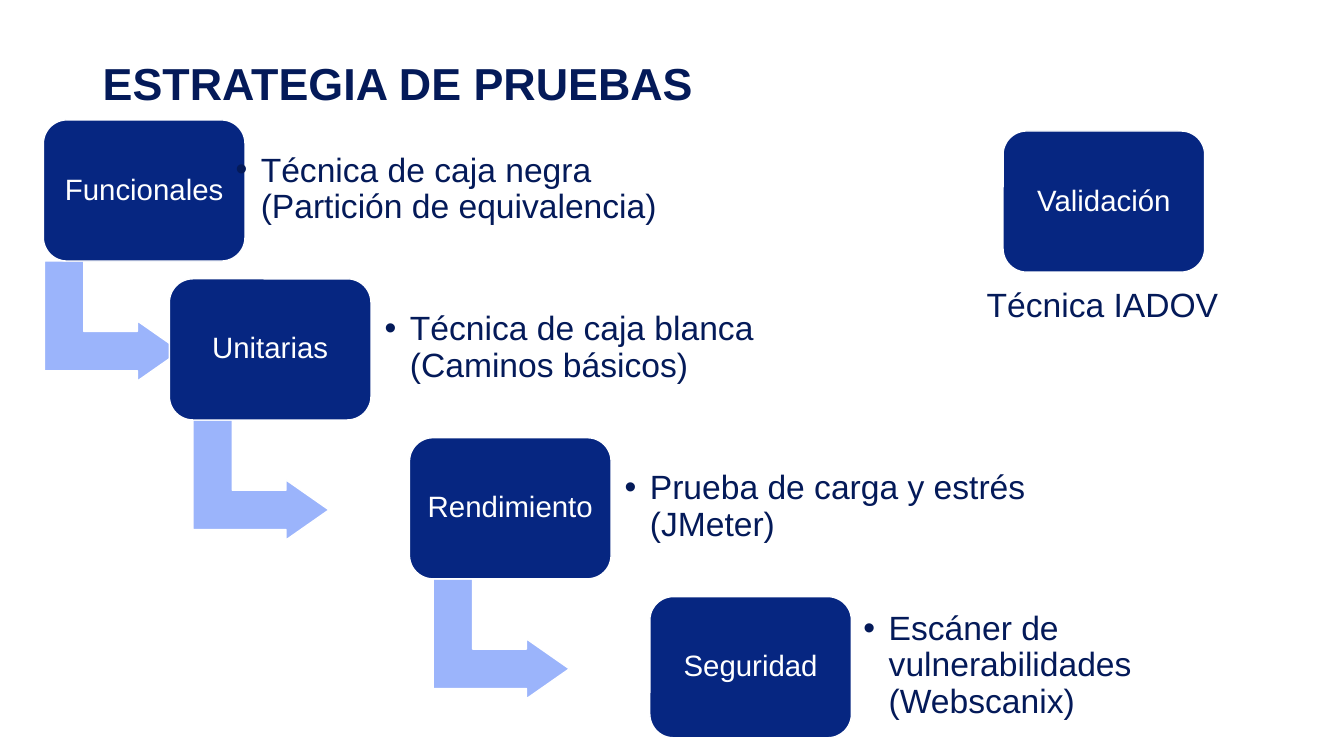
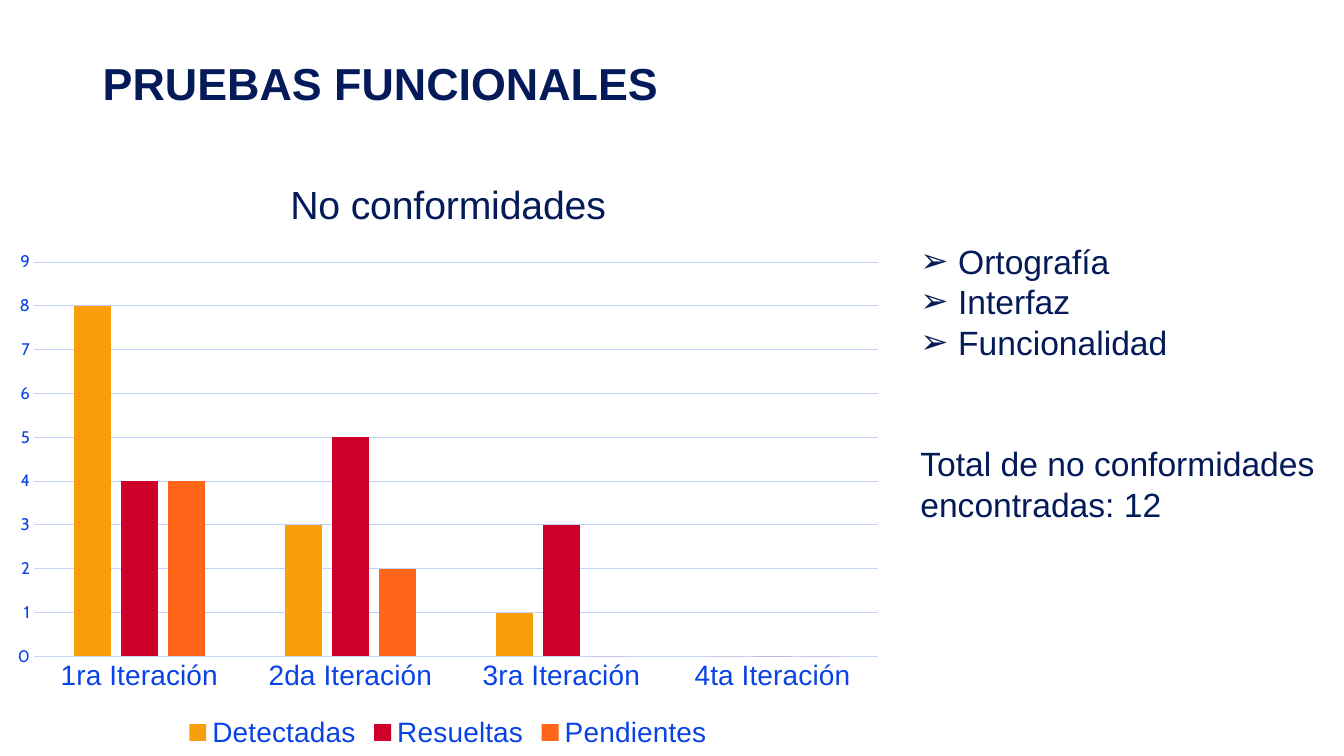
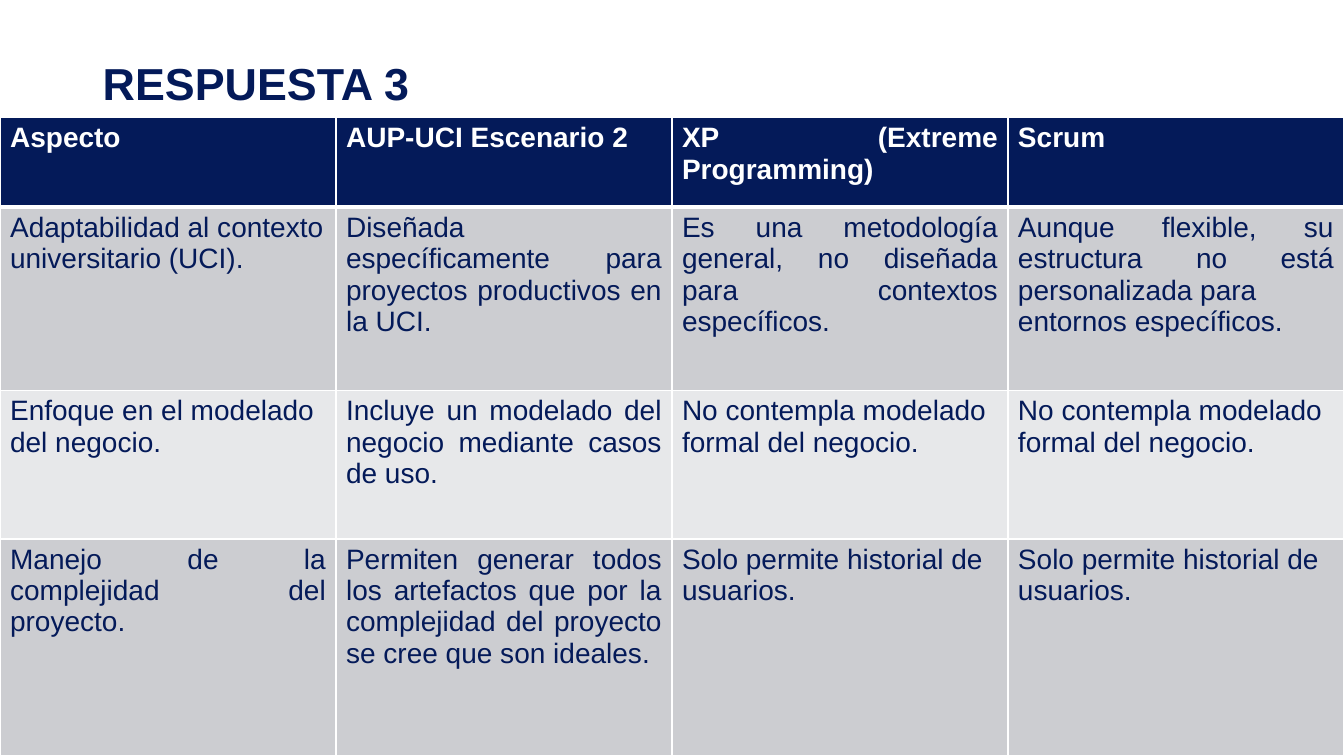
from dataclasses import dataclass
from typing import Optional

from lxml.etree import SubElement
from pptx import Presentation
from pptx.chart.data import CategoryChartData
from pptx.dml.color import RGBColor
from pptx.enum.chart import XL_CHART_TYPE as ChartType
from pptx.enum.chart import XL_LEGEND_POSITION as LegendPos
from pptx.enum.chart import XL_TICK_MARK as Tick
from pptx.enum.shapes import MSO_SHAPE as Preset
from pptx.enum.text import MSO_ANCHOR as Anchor
from pptx.enum.text import MSO_AUTO_SIZE as AutoSize
from pptx.enum.text import PP_ALIGN as Align
from pptx.oxml.ns import qn
from pptx.util import Pt

# Shared style
NAVY = RGBColor(0x04, 0x1A, 0x59)
BOX_BLUE = RGBColor(0x06, 0x26, 0x81)
ARROW_BLUE = RGBColor(0x9B, 0xB4, 0xFB)
AXIS_BLUE = RGBColor(0x0A, 0x43, 0xE5)
GRID_BLUE = RGBColor(0xC3, 0xD2, 0xFC)
WHITE = RGBColor(0xFF, 0xFF, 0xFF)
AMBER = RGBColor(0xF9, 0x9E, 0x0D)
RED = RGBColor(0xCE, 0x00, 0x2A)
ORANGE = RGBColor(0xFF, 0x66, 0x1A)
BANDS = (RGBColor(0xCC, 0xCD, 0xD1), RGBColor(0xE7, 0xE8, 0xEA))
FONT, AXIS_FONT = "Arial", "Cabin"
SLIDE_W, SLIDE_H = 960, 540
TITLE_AND_BODY, TITLE_ONLY = 1, 5

# Staircase of test types
BOX_W, BOX_H = 144, 100.8
STAIR_TOP, STAIR_STEP = 85.7, 113.5
ARROW_W, ARROW_H, ARROW_DROP = 85.7, 97.2, 95


@dataclass
class Step:
    label: str
    technique: str
    left: float
    text_left: float
    text_width: float
    arrow_left: Optional[float] = None


@dataclass
class Series:
    name: str
    values: tuple[int, ...]
    color: RGBColor


STEPS = [
    Step("Funcionales", "Técnica de caja negra (Partición de equivalencia)",
         31, 161.3, 321.8, 37.4),
    Step("Unitarias", "Técnica de caja blanca (Caminos básicos)",
         121, 267.8, 284.4, 143.5),
    Step("Rendimiento", "Prueba de carga y estrés (JMeter)",
         292.5, 439.2, 337, 315.2),
    Step("Seguridad", "Escáner de vulnerabilidades (Webscanix)",
         464.2, 609.8, 329.8),
]

ITERATIONS = ["1ra Iteración", "2da Iteración", "3ra Iteración", "4ta Iteración"]
SERIES = [
    Series("Detectadas", (8, 3, 1, 0), AMBER),
    Series("Resueltas", (4, 5, 3, 0), RED),
    Series("Pendientes", (4, 2, 0, 0), ORANGE),
]

ROW_HEIGHTS = (64, 131, 106, 155)
COMPARISON = [
    ["Aspecto", "AUP-UCI Escenario 2", "XP (Extreme Programming)", "Scrum"],
    ["Adaptabilidad al contexto\nuniversitario (UCI).",
     "Diseñada específicamente para proyectos productivos en la UCI.",
     "Es una metodología general, no diseñada para contextos específicos.",
     "Aunque flexible, su estructura no está personalizada para\n"
     "entornos específicos."],
    ["Enfoque en el modelado\ndel negocio.",
     "Incluye un modelado del negocio mediante casos de uso.",
     "No contempla modelado\nformal del negocio.",
     "No contempla modelado\nformal del negocio."],
    ["Manejo de la complejidad del proyecto.",
     "Permiten generar todos los artefactos que por la complejidad del "
     "proyecto se cree que son ideales.",
     "Solo permite historial de\nusuarios.",
     "Solo permite historial de\nusuarios."],
]


def style_font(font, size: float, color: RGBColor, name: str = FONT,
               bold: bool = False) -> None:
    font.size, font.name, font.bold = Pt(size), name, bold
    font.color.rgb = color


def add_run(p, text: str, size: float, color: RGBColor = NAVY,
            bold: bool = False) -> None:
    r = p.add_run()
    r.text = text
    style_font(r.font, size, color, bold=bold)


def set_bullet(p, char: Optional[str], indent: float = 0) -> None:
    pPr = p._p.get_or_add_pPr()
    pPr.set("marL", str(Pt(indent)))
    pPr.set("indent", str(-Pt(indent)))
    if char:
        SubElement(pPr, qn("a:buFont")).set("typeface", FONT)
        SubElement(pPr, qn("a:buChar")).set("char", char)
    else:
        SubElement(pPr, qn("a:buNone"))


def set_insets(tf, inset: float) -> None:
    tf.margin_left = tf.margin_right = Pt(inset)
    tf.margin_top = tf.margin_bottom = Pt(inset)


def place(sp, left: float, top: float, width: float, height: float) -> None:
    sp.left, sp.top = Pt(left), Pt(top)
    sp.width, sp.height = Pt(width), Pt(height)


def new_slide(prs, title: str, layout: int = TITLE_ONLY):
    slide = prs.slides.add_slide(prs.slide_layouts[layout])
    sp = slide.shapes.title
    place(sp, 66.2, 28.8, 440, 64.8)
    tf = sp.text_frame
    tf.auto_size, tf.word_wrap = AutoSize.NONE, True
    tf.vertical_anchor = Anchor.MIDDLE
    p = tf.paragraphs[0]
    p.alignment, p.line_spacing = Align.LEFT, 0.9
    add_run(p, title, 32, bold=True)
    return slide


def add_block(slide, preset, left: float, top: float, width: float,
              height: float, fill: RGBColor, adjustments: tuple[float, ...]):
    sp = slide.shapes.add_shape(preset, Pt(left), Pt(top), Pt(width), Pt(height))
    sp.shadow.inherit = False
    sp.fill.solid()
    sp.fill.fore_color.rgb = fill
    sp.line.color.rgb = WHITE
    sp.line.width = Pt(1)
    for i, value in enumerate(adjustments):
        sp.adjustments[i] = value
    return sp


def add_test_box(slide, label: str, left: float, top: float) -> None:
    sp = add_block(slide, Preset.ROUNDED_RECTANGLE, left, top, BOX_W, BOX_H,
                   BOX_BLUE, (0.167,))
    tf = sp.text_frame
    tf.word_wrap, tf.vertical_anchor = True, Anchor.MIDDLE
    set_insets(tf, 5)
    p = tf.paragraphs[0]
    p.alignment, p.line_spacing = Align.CENTER, 0.9
    add_run(p, label, 21, WHITE)


def add_step(slide, step: Step, top: float) -> None:
    if step.arrow_left is not None:
        arrow = add_block(slide, Preset.BENT_UP_ARROW, step.arrow_left,
                          top + ARROW_DROP, ARROW_W, ARROW_H, ARROW_BLUE,
                          (0.328, 0.25, 0.358))
        arrow.rotation = 90
    add_test_box(slide, step.label, step.left, top)
    sp = slide.shapes.add_textbox(Pt(step.text_left), Pt(top + 8.8),
                                  Pt(step.text_width), Pt(81.4))
    tf = sp.text_frame
    tf.word_wrap, tf.vertical_anchor = True, Anchor.MIDDLE
    set_insets(tf, 7)
    p = tf.paragraphs[0]
    set_bullet(p, "•", 18)
    p.line_spacing = 0.9
    add_run(p, step.technique, 24)


def build_strategy(prs) -> None:
    slide = new_slide(prs, "ESTRATEGIA DE PRUEBAS")
    for i, step in enumerate(STEPS):
        add_step(slide, step, STAIR_TOP + i * STAIR_STEP)
    # Validation stands apart from the staircase
    add_test_box(slide, "Validación", 716.5, 93.6)
    sp = slide.shapes.add_textbox(Pt(697.7), Pt(199.4), Pt(181.4), Pt(36))
    sp.text_frame.word_wrap = False
    add_run(sp.text_frame.paragraphs[0], "Técnica IADOV", 24)


def add_findings(slide) -> None:
    sp = slide.placeholders[1]
    place(sp, 650.2, 168.5, 298, 211)
    tf = sp.text_frame
    tf.auto_size, tf.word_wrap = AutoSize.NONE, True
    tf.vertical_anchor = Anchor.TOP
    for i, kind in enumerate(("Ortografía", "Interfaz", "Funcionalidad")):
        p = tf.add_paragraph() if i else tf.paragraphs[0]
        set_bullet(p, "➢", 27)
        p.space_before = Pt(0)
        add_run(p, kind, 24)
    p = tf.add_paragraph()
    set_bullet(p, None)
    p.space_before = Pt(58)
    add_run(p, "Total de no conformidades encontradas: 12", 24)


def add_findings_chart(slide) -> None:
    data = CategoryChartData()
    data.categories = ITERATIONS
    for s in SERIES:
        data.add_series(s.name, s.values)
    chart = slide.shapes.add_chart(ChartType.COLUMN_CLUSTERED, Pt(0), Pt(111.6),
                                   Pt(640), Pt(427), data).chart
    style_font(chart.font, 10, NAVY, AXIS_FONT)
    chart.has_title = True
    add_run(chart.chart_title.text_frame.paragraphs[0], "No conformidades", 28)
    chart.has_legend = True
    chart.legend.position = LegendPos.BOTTOM
    chart.legend.include_in_layout = False
    style_font(chart.legend.font, 20, AXIS_BLUE)

    # Columns
    plot = chart.plots[0]
    plot.gap_width, plot.overlap, plot.vary_by_categories = 219, -27, False
    for column, s in zip(plot.series, SERIES):
        column.invert_if_negative = False
        column.format.fill.solid()
        column.format.fill.fore_color.rgb = s.color

    # Axes
    cat, val = chart.category_axis, chart.value_axis
    for axis in (cat, val):
        axis.major_tick_mark = axis.minor_tick_mark = Tick.NONE
    style_font(cat.tick_labels.font, 20, AXIS_BLUE)
    style_font(val.tick_labels.font, 12, AXIS_BLUE, AXIS_FONT)
    val.minimum_scale, val.maximum_scale, val.major_unit = 0, 9, 1
    val.format.line.fill.background()
    for line in (cat.format.line, val.major_gridlines.format.line):
        line.color.rgb = GRID_BLUE
        line.width = Pt(0.75)


def build_functional(prs) -> None:
    slide = new_slide(prs, "PRUEBAS FUNCIONALES", TITLE_AND_BODY)
    add_findings(slide)
    add_findings_chart(slide)


def set_borders(cell, top: float, bottom: float) -> None:
    tcPr = cell._tc.get_or_add_tcPr()
    for side, width in (("L", 1), ("R", 1), ("T", top), ("B", bottom)):
        ln = SubElement(tcPr, qn(f"a:ln{side}"), w=str(Pt(width)))
        fill = SubElement(ln, qn("a:solidFill"))
        SubElement(fill, qn("a:srgbClr")).set("val", str(WHITE))


def build_comparison(prs) -> None:
    slide = new_slide(prs, "RESPUESTA 3")
    n_cols, height = len(COMPARISON[0]), sum(ROW_HEIGHTS)
    table = slide.shapes.add_table(len(COMPARISON), n_cols, Pt(0),
                                   Pt(SLIDE_H - height), Pt(SLIDE_W),
                                   Pt(height)).table
    for column in table.columns:
        column.width = Pt(SLIDE_W / n_cols)
    for i, (texts, row_height) in enumerate(zip(COMPARISON, ROW_HEIGHTS)):
        table.rows[i].height = Pt(row_height)
        header = i == 0
        for j, text in enumerate(texts):
            cell = table.cell(i, j)
            set_borders(cell, 3 if i == 1 else 1, 3 if header else 1)
            cell.fill.solid()
            cell.fill.fore_color.rgb = NAVY if header else BANDS[(i - 1) % 2]
            tf = cell.text_frame
            for k, line in enumerate(text.split("\n")):
                p = tf.add_paragraph() if k else tf.paragraphs[0]
                p.alignment = Align.JUSTIFY
                add_run(p, line, 20, WHITE if header else NAVY, header)


def main() -> None:
    prs = Presentation()
    prs.slide_width, prs.slide_height = Pt(SLIDE_W), Pt(SLIDE_H)
    build_strategy(prs)
    build_functional(prs)
    build_comparison(prs)
    prs.save("out.pptx")


if __name__ == "__main__":
    main()
